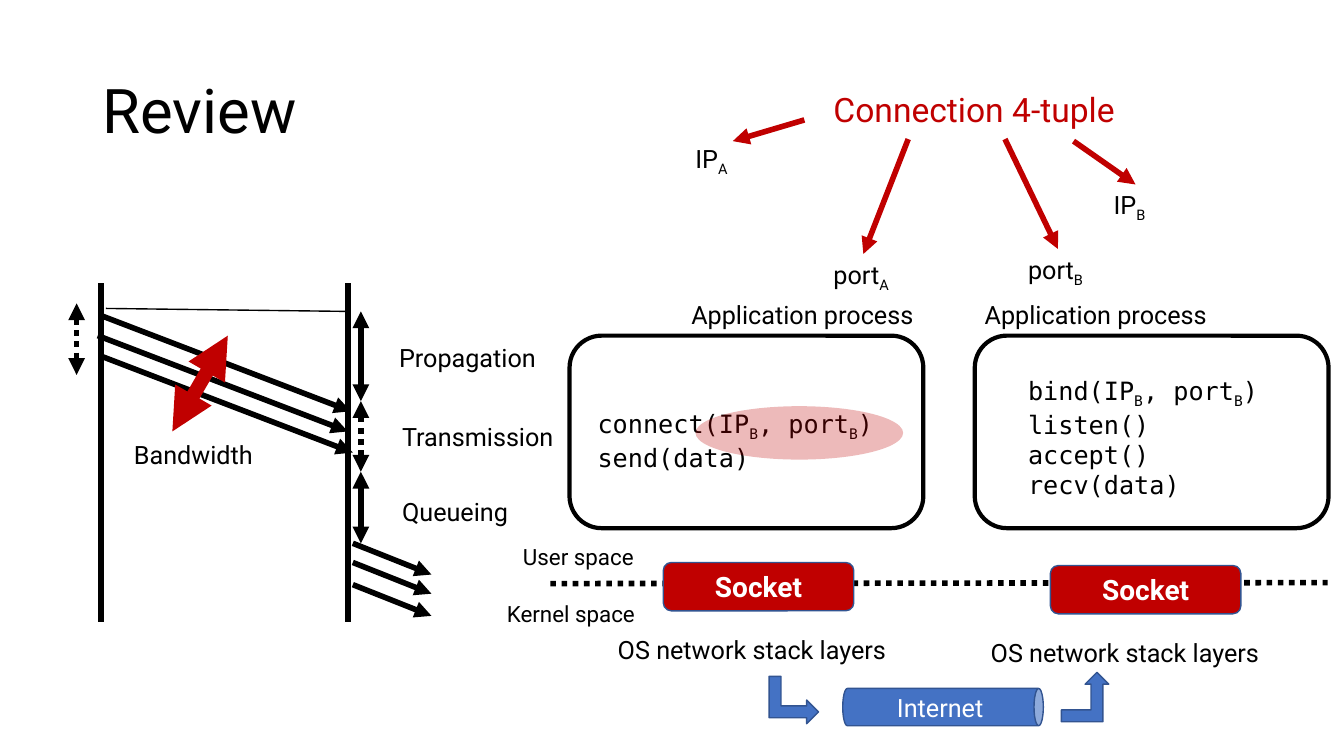
from dataclasses import dataclass

from lxml import etree
from pptx import Presentation
from pptx import util as u
from pptx.dml.color import RGBColor
from pptx.enum import dml, shapes, text
from pptx.oxml.ns import qn

CELL = u.Inches(0.1)  # one column or row of the slide grid
COLUMNS, ROWS = 133.33, 75
TOP_SIDE = 0


@dataclass(frozen=True)
class Theme:
    black: str = "000000"
    white: str = "FFFFFF"
    red: str = "C00000"
    blue: str = "4472C4"
    outline: str = "325491"
    sans: str = "Roboto"
    mono: str = "DejaVu Sans Mono"
    title: int = 44
    heading: int = 24
    socket: int = 20
    body: int = 18
    small: int = 16


THEME = Theme()


@dataclass(frozen=True)
class Label:
    """Text on the grid; the letter after an underscore is a subscript."""
    words: str
    left: float
    top: float
    width: float
    height: float = 4
    size: int = THEME.body
    color: str = THEME.black
    font: str = THEME.sans


@dataclass(frozen=True)
class Block:
    kind: shapes.MSO_SHAPE
    left: float
    top: float
    width: float
    height: float
    fill: str = ""
    line: str = THEME.outline
    weight: float = 1
    turn: float = 0
    opacity: int = 100
    words: str = ""


@dataclass(frozen=True)
class Line:
    x1: float
    y1: float
    x2: float
    y2: float
    heads: str = ""  # "end" or "both"
    color: str = THEME.black
    weight: float = 4
    dotted: bool = False
    target: str = ""  # label whose top the line meets


def fan(starts: list[tuple[float, float]], run: float, drop: float) -> list[Line]:
    """Parallel packet arrows."""
    return [Line(x, y, x + run, y + drop, "end") for x, y in starts]


TIMING = [
    *[Line(x, 28.1, x, 61.7) for x in (10, 34.5)],
    *fan([(10, 31.3), (9.7, 33.3), (10.2, 35.4)], 24.8, 9.5),
    *[Line(35.8, top, 35.8, bottom, "both", dotted=dotted)
      for top, bottom, dotted in ((30.9, 39.8, False), (39.8, 46.8, True), (46.8, 53.9, False))],
    *fan([(35, 53.9), (35, 55.8), (35, 58)], 7.8, 3.1),
    Line(22.6, 33.3, 17.1, 42.8, "both", THEME.red, 10),
    Line(10.5, 30.6, 34.8, 30.9, weight=1),
    Line(7.6, 30.1, 7.6, 37.2, "both", dotted=True),
    Line(54.6, 57.9, 131.7, 57.8, dotted=True),
]

BLOCKS = [
    *[Block(shapes.MSO_SHAPE.ROUNDED_RECTANGLE, left, 33.3, 35.1, 19.1, line=THEME.black, weight=3)
      for left in (56.5, 96.7)],
    *[Block(shapes.MSO_SHAPE.ROUNDED_RECTANGLE, left, top, 18.9, 4.8, THEME.red, words="Socket")
      for left, top in ((65.8, 55.8), (104.2, 56.1))],
    Block(shapes.MSO_SHAPE.CAN, 91.7, 60.2, 3.7, 19.9, THEME.blue, turn=90),
    Block(shapes.MSO_SHAPE.BENT_UP_ARROW, 76.4, 67, 4.7, 4.9, THEME.blue, turn=90),
    Block(shapes.MSO_SHAPE.BENT_UP_ARROW, 105.3, 66.7, 4.7, 4.9, THEME.blue),
]
HIGHLIGHT = Block(shapes.MSO_SHAPE.OVAL, 69, 40.3, 20.6, 5.3, THEME.red, line="", opacity=27)

LABELS = [
    Label("Propagation", 38.6, 33.5, 17.1),
    Label("Transmission", 38.9, 41.3, 17.1),
    Label("Queueing", 38.9, 48.7, 17.1),
    Label("Bandwidth", 12.3, 43.1, 13.9),
    *[Label("Application process", left, 29.2, 27.6) for left in (67.6, 96.7)],
    Label("User space", 50.9, 53.4, 16.4, 3.7, THEME.small),
    Label("Kernel space", 49.3, 59, 16.4, 3.7, THEME.small),
    Label("IP_A", 68, 13.7, 6.3),
    Label("port_A", 81.7, 25.2, 7.9),
    Label("IP_B", 109.5, 18.3, 6.3),
    Label("port_B", 101, 24.7, 7.9),
    Label("connect(IP_B, port_B)\nsend(data)", 58.3, 40, 37.6, 7.1, font=THEME.mono),
    Label("bind(IP_B, port_B)\nlisten()\naccept()\nrecv(data)", 101, 36.7, 27.9, 13.1, font=THEME.mono),
    Label("OS network stack layers", 60.3, 62.4, 29.8),
    Label("OS network stack layers", 97.3, 62.7, 29.8),
    Label("Internet", 88, 68.2, 13, color=THEME.white),
    Label("Connection 4-tuple", 81.7, 8.3, 35.1, 5, THEME.heading, THEME.red),
]

TUPLE_ARROWS = [
    Line(79.8, 11.9, 72.7, 14, "end", THEME.red),
    Line(90.1, 13.8, 85.7, 25.2, "end", THEME.red, target="port_A"),
    Line(106.5, 14, 112.6, 18.3, "end", THEME.red, target="IP_B"),
    Line(99.7, 13.8, 104.9, 24.7, "end", THEME.red, target="port_B"),
]


def grid(*cells: float) -> list[u.Emu]:
    return [u.Emu(round(cell * CELL)) for cell in cells]


def rgb(color: str) -> RGBColor:
    return RGBColor.from_string(color)


def set_font(font, size: int, color: str, name: str, bold: bool = False) -> None:
    font.size, font.name, font.bold = u.Pt(size), name, bold
    font.color.rgb = rgb(color)


def add_label(page, label: Label):
    box = page.shapes.add_textbox(*grid(label.left, label.top, label.width, label.height))
    frame = box.text_frame
    frame.word_wrap = True
    for index, words in enumerate(label.words.split("\n")):
        para = frame.paragraphs[0] if index == 0 else frame.add_paragraph()
        first, *rest = words.split("_")
        para.add_run().text = first
        for part in rest:
            span = para.add_run()
            span.text = part[0]
            span.font._element.set("baseline", "-25000")
            if part[1:]:
                para.add_run().text = part[1:]
        set_font(para.font, label.size, label.color, label.font)
    return box


def add_block(page, block: Block) -> None:
    shape = page.shapes.add_shape(block.kind, *grid(block.left, block.top, block.width, block.height))
    shape.shadow.inherit = False
    shape.rotation = block.turn
    if block.fill:
        shape.fill.solid()
        shape.fill.fore_color.rgb = rgb(block.fill)
    else:
        shape.fill.background()
    if block.opacity < 100:
        color = shape._element.spPr.find(".//" + qn("a:srgbClr"))
        etree.SubElement(color, qn("a:alpha"), val=str(block.opacity * 1000))
    if block.line:
        shape.line.color.rgb = rgb(block.line)
        shape.line.width = u.Pt(block.weight)
    else:
        shape.line.fill.background()
    if block.words:
        shape.text_frame.text = block.words
        para = shape.text_frame.paragraphs[0]
        para.alignment = text.PP_ALIGN.CENTER
        set_font(para.font, THEME.socket, THEME.white, THEME.sans, bold=True)


def add_line(page, line: Line, boxes: dict) -> None:
    connector = page.shapes.add_connector(
        shapes.MSO_CONNECTOR.STRAIGHT, *grid(line.x1, line.y1, line.x2, line.y2))
    if line.target:
        connector.end_connect(boxes[line.target], TOP_SIDE)
    connector.line.color.rgb = rgb(line.color)
    connector.line.width = u.Pt(line.weight)
    if line.dotted:
        connector.line.dash_style = dml.MSO_LINE.ROUND_DOT
    outline = connector.line._get_or_add_ln()
    ends = {"": (), "end": ("a:tailEnd",), "both": ("a:headEnd", "a:tailEnd")}
    for end in ends[line.heads]:
        etree.SubElement(outline, qn(end), type="triangle")
    etree.SubElement(connector._element.spPr, qn("a:effectLst"))


def main() -> None:
    deck = Presentation()
    deck.slide_width, deck.slide_height = grid(COLUMNS, ROWS)
    page = deck.slides.add_slide(deck.slide_layouts[6])
    title = add_label(page, Label("Review", 9.2, 4, 115, 14.5, THEME.title))
    title.text_frame.vertical_anchor = text.MSO_ANCHOR.MIDDLE
    title.text_frame.paragraphs[0].line_spacing = 0.9
    for line in TIMING:
        add_line(page, line, {})
    for block in BLOCKS:
        add_block(page, block)
    boxes = {label.words: add_label(page, label) for label in LABELS}
    for line in TUPLE_ARROWS:
        add_line(page, line, boxes)
    add_block(page, HIGHLIGHT)
    deck.save("out.pptx")


if __name__ == "__main__":
    main()
